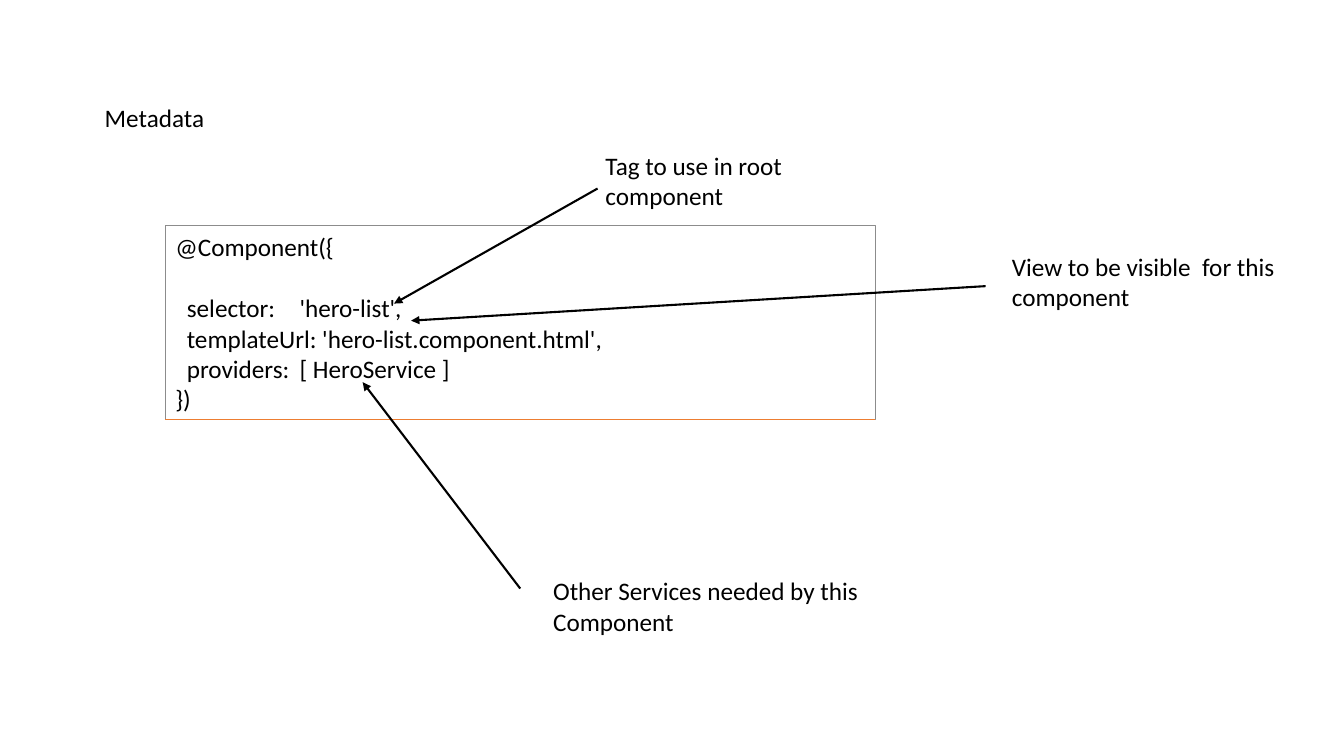
from lxml.etree import SubElement
from pptx import Presentation
from pptx.dml.color import RGBColor
from pptx.enum.shapes import MSO_CONNECTOR, MSO_SHAPE
from pptx.enum.text import MSO_ANCHOR, PP_ALIGN
from pptx.oxml.ns import qn
from pptx.util import Cm, Pt

FONT, SIZE = "Calibri", 18
BLACK, WHITE, GREY, ORANGE = "000000", "FFFFFF", "8C8C8C", "ED7D31"

TITLE = (2.39, 2.46, 8.53, 1.02)
CODE = (4.17, 5.69, 17.88, 4.88)
STOPS = (0.29, 3.13)  # code indent and value column
LINES = ["@Component({", "\tselector:\t'hero-list',",
         "\ttemplateUrl: 'hero-list.component.html',",
         "\tproviders:\t[ HeroService ]", "})"]

# Label, its box, arrow start within that box, arrow tip within the code box
NOTES = [
    ("Tag to use in root component",
     (15.01, 3.66, 7.92, 1.8), (0.05, 1.09), (5.76, 1.96)),
    ("View to be visible  for this component",
     (25.25, 6.2, 7.92, 1.8), (-0.41, 1.01), (6.19, 2.39)),
    ("Other Services needed by this Component",
     (13.69, 14.38, 10.57, 1.8), (-0.58, 0.45), (4.97, 3.94)),
]


def color(value):
    """Turn a hex string into a colour."""
    return RGBColor.from_string(value)


def style(par):
    """Give a paragraph the slide's font."""
    par.alignment = PP_ALIGN.LEFT
    par.font.name = FONT
    par.font.size = Pt(SIZE)
    par.font.color.rgb = color(BLACK)


def point(box, shift):
    """Return the place that lies at a shift from a box's corner."""
    return box[0] + shift[0], box[1] + shift[1]


def label(slide, box, text):
    """Place a wrapped text box."""
    frame = slide.shapes.add_textbox(*map(Cm, box)).text_frame
    frame.word_wrap = True
    frame.text = text
    style(frame.paragraphs[0])


def line(slide, start, end, tint, width, head=False):
    """Draw a straight line, with an arrowhead at its end if asked."""
    link = slide.shapes.add_connector(
        MSO_CONNECTOR.STRAIGHT, *map(Cm, start + end))
    link.line.color.rgb = color(tint)
    link.line.width = Pt(width)
    if head:
        SubElement(link.line._get_or_add_ln(), qn("a:tailEnd"), type="triangle")
    SubElement(link._element.spPr, qn("a:effectLst"))


def code(slide, box):
    """Draw the code panel with its tabbed lines and orange base."""
    panel = slide.shapes.add_shape(MSO_SHAPE.RECTANGLE, *map(Cm, box))
    panel.shadow.inherit = False
    panel.fill.solid()
    panel.fill.fore_color.rgb = color(WHITE)
    panel.line.color.rgb = color(GREY)
    panel.line.width = Pt(0.5)
    frame = panel.text_frame
    frame.word_wrap = True
    frame.vertical_anchor = MSO_ANCHOR.MIDDLE
    frame.text = "\n".join(LINES)
    for par in frame.paragraphs:
        style(par)
        tabs = SubElement(par._p.get_or_add_pPr(), qn("a:tabLst"))
        for stop in STOPS:
            SubElement(tabs, qn("a:tab"), pos=str(Cm(stop)), algn="l")
        # The schema wants the tab list ahead of the font
        tabs.getparent().find(qn("a:defRPr")).addprevious(tabs)
    frame.paragraphs[1].space_before = Pt(22)
    wide, high = box[2:]
    line(slide, point(box, (0, high)), point(box, (wide, high)), ORANGE, 1)


def note(slide, box, text, start, tip):
    """Place a label and the arrow that leads from it to the code."""
    label(slide, box, text)
    line(slide, point(box, start), point(CODE, tip), BLACK, 1.5, head=True)


def main():
    """Build and save the slide."""
    deck = Presentation()
    deck.slide_width, deck.slide_height = Cm(33.87), Cm(19.05)
    slide = deck.slides.add_slide(deck.slide_layouts[6])
    label(slide, TITLE, "Metadata")
    code(slide, CODE)
    for text, box, start, tip in NOTES:
        note(slide, box, text, start, tip)
    deck.save("out.pptx")


main()
